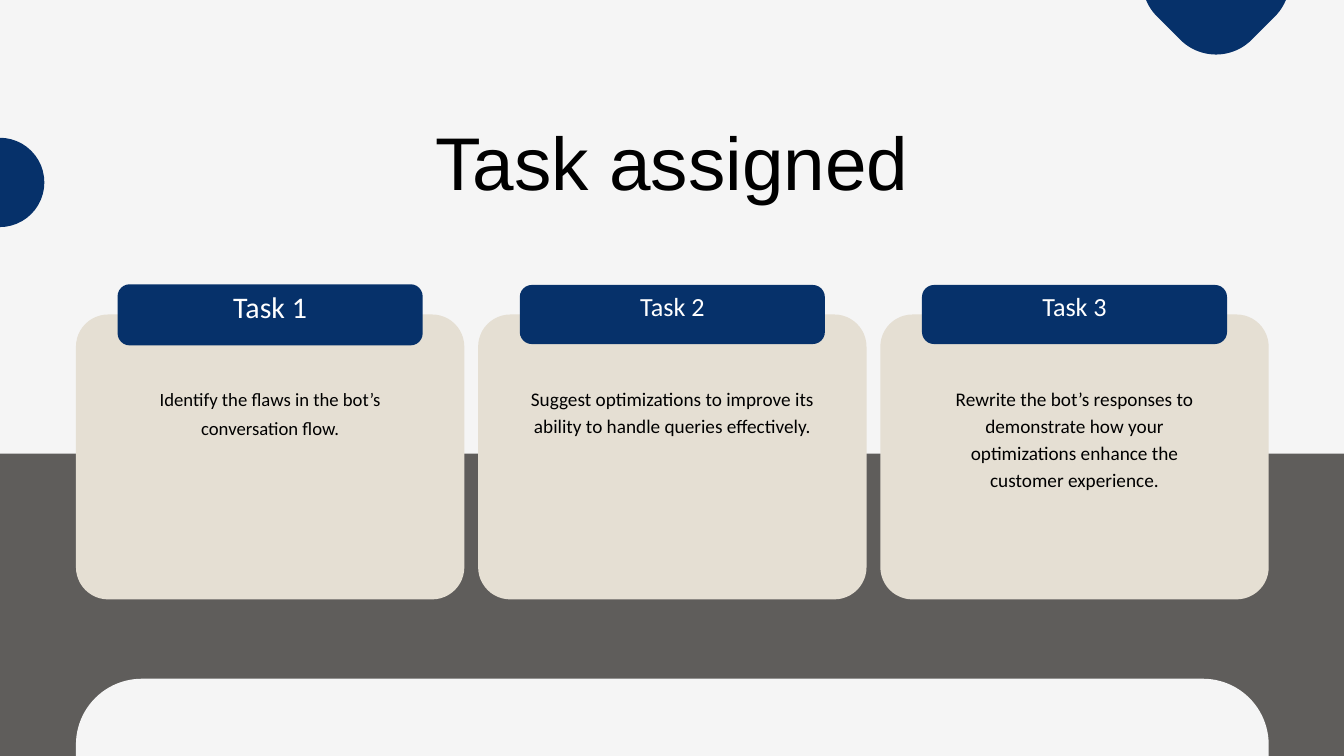
from pptx import Presentation
from pptx.dml.color import RGBColor
from pptx.enum.shapes import MSO_SHAPE as Shape
from pptx.enum.text import MSO_ANCHOR as Anchor, PP_ALIGN as Align
from pptx.util import Inches, Pt

NAVY, SAND, GREY, PAPER = "06316A", "E5DFD3", "5F5D5B", "F5F5F5"
BLACK, WHITE = "000000", "FFFFFF"

# tab label, label size, tab top and height, label top and height,
# body, body size, body line spacing, body top, width and height
TASKS = [
    ("Task 1", 32, (4.23, 0.91), (4.08, 1.08),
     "Identify the flaws in the bot’s conversation flow.",
     20, 30.2, (5.69, 4.27, 0.82)),
    ("Task 2", 28, (4.24, 0.88), (4.06, 1.06),
     "Suggest optimizations to improve its ability to handle queries effectively.",
     20.6, 28.9, (5.7, 4.21, 1.19)),
    ("Task 3", 28, (4.24, 0.88), (4.06, 1.06),
     "Rewrite the bot’s responses to demonstrate how your optimizations "
     "enhance the customer experience.",
     20.6, 28.9, (5.7, 4.21, 1.6)),
]


def color(hex_code):
    return RGBColor.from_string(hex_code)


def add_block(page, kind, box, fill, radius=None):
    """Add a plain filled shape; radius is the corner radius in inches."""
    block = page.shapes.add_shape(kind, *(Inches(v) for v in box))
    block.shadow.inherit = False
    block.fill.solid()
    block.fill.fore_color.rgb = color(fill)
    block.line.fill.background()
    if radius is not None:
        block.adjustments[0] = radius / min(box[2:])
    return block


def add_text(page, box, text, size, spacing, font="Calibri", fill=BLACK,
             inset=0, anchor=Anchor.TOP):
    """Add one centred paragraph with exact line spacing in points."""
    frame = page.shapes.add_textbox(*(Inches(v) for v in box)).text_frame
    frame.word_wrap = True
    frame.vertical_anchor = anchor
    frame.margin_left = frame.margin_right = Inches(inset)
    frame.margin_top = frame.margin_bottom = Inches(inset)
    para = frame.paragraphs[0]
    para.text = text
    para.alignment = Align.CENTER
    para.line_spacing = Pt(spacing)
    span = para.runs[0]
    span.font.name = font
    span.font.size = Pt(size)
    span.font.color.rgb = color(fill)


def add_backdrop(page, width, height):
    """Grey lower band, paper panel and navy accents at the edges."""
    band_top = 6.75
    add_block(page, Shape.RECTANGLE, (0, band_top, width, height - band_top), GREY)
    add_block(page, Shape.ROUNDED_RECTANGLE, (1.13, 10.1, 17.75, 2.28), PAPER, 0.98)
    add_block(page, Shape.OVAL, (-0.67, 2.05, 1.33, 1.33), NAVY)
    diamond = add_block(page, Shape.ROUNDED_RECTANGLE,
                        (17.1, -1.28, 1.99, 1.99), NAVY, 0.75)
    diamond.rotation = 45


def add_task(page, box, task):
    """A card with its body text and a tab across its top edge."""
    label, label_size, tab, label_rows, body, body_size, spacing, body_box = task
    left, _, width, _ = box
    body_top, body_width, body_height = body_box
    tab_width = 4.54
    tab_left = left + (width - tab_width) / 2

    add_block(page, Shape.ROUNDED_RECTANGLE, box, SAND, 0.48)
    add_text(page, (left + (width - body_width) / 2, body_top, body_width, body_height),
             body, body_size, spacing)
    add_block(page, Shape.ROUNDED_RECTANGLE,
              (tab_left, tab[0], tab_width, tab[1]), NAVY, 0.18)
    add_text(page, (tab_left, label_rows[0], tab_width, label_rows[1]),
             label, label_size, 29.4, fill=WHITE, inset=0.06, anchor=Anchor.MIDDLE)


def add_tasks(page, box):
    """Share the box out among the task cards with equal gaps."""
    left, top, width, height = box
    card_width = 5.78
    pitch = (width - card_width) / (len(TASKS) - 1)
    for index, task in enumerate(TASKS):
        add_task(page, (left + index * pitch, top, card_width, height), task)


def main():
    width, height = 20, 11.25
    deck = Presentation()
    deck.slide_width, deck.slide_height = Inches(width), Inches(height)
    page = deck.slides.add_slide(deck.slide_layouts[6])
    page.background.fill.solid()
    page.background.fill.fore_color.rgb = color(PAPER)

    add_backdrop(page, width, height)
    add_text(page, (2.55, 1.84, 14.9, 1.27), "Task assigned", 80, 88, font="Arial")
    add_tasks(page, (1.13, 4.68, 17.75, 4.24))
    deck.save("out.pptx")


if __name__ == "__main__":
    main()
